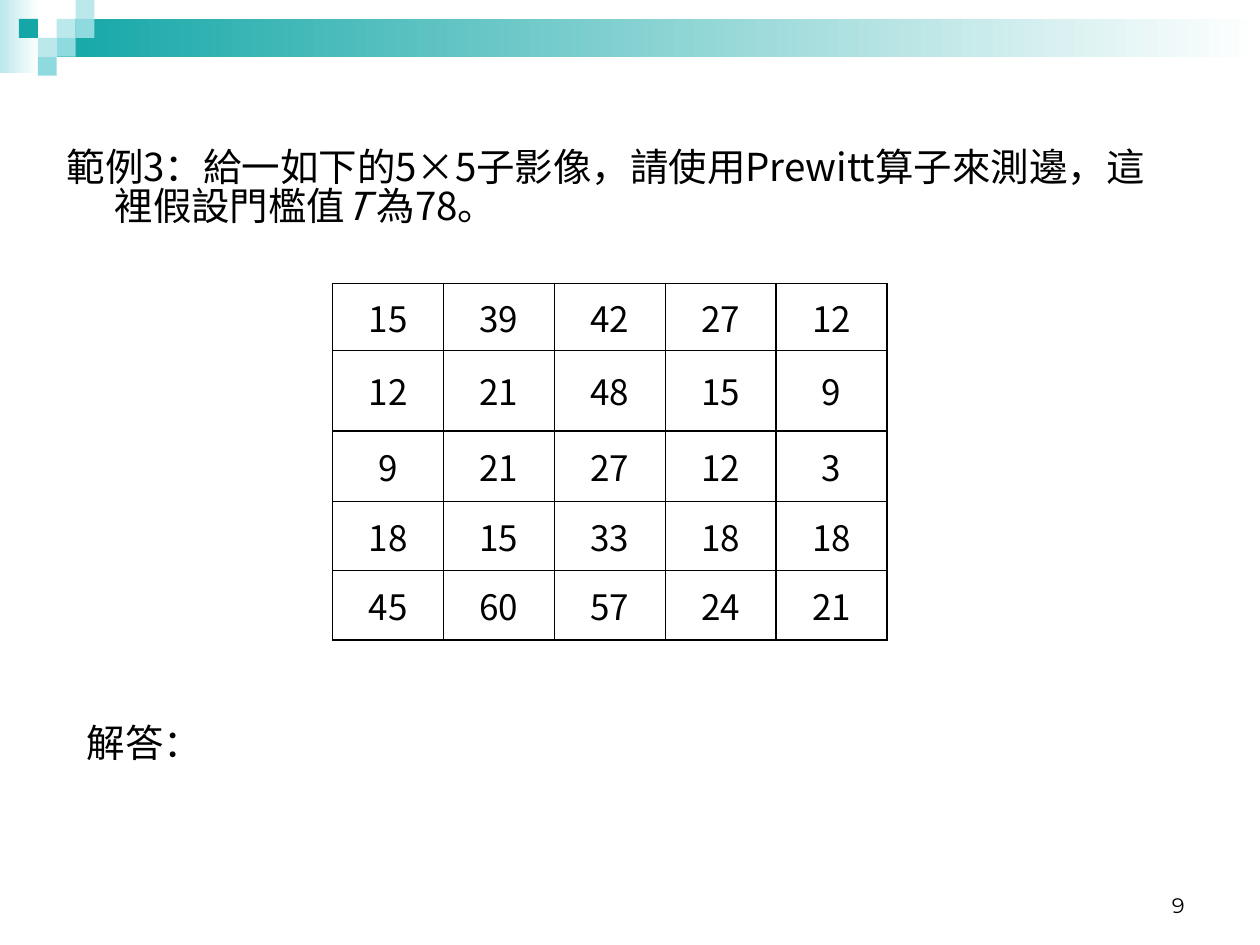
import pptx
import pptx.util
import pptx.dml.color
import pptx.enum.shapes
import pptx.enum.text
import pptx.oxml
import pptx.oxml.ns

Inches, Pt = pptx.util.Inches, pptx.util.Pt
Color = pptx.dml.color.RGBColor
Align = pptx.enum.text.PP_ALIGN
Anchor = pptx.enum.text.MSO_ANCHOR

BLACK = Color(0x00, 0x00, 0x00)
WHITE = Color(0xFF, 0xFF, 0xFF)
PALE = Color(0xBB, 0xE8, 0xEB)
MID = Color(0x8E, 0xDA, 0xDE)
TEAL = Color(0x15, 0xA7, 0xA7)

TASK = [("範例3：給一如下的5×5子影像，請使用Prewitt算子來測邊，這裡假設門檻值", False),
        ("T ", True), ("為78。", False)]
ANSWER = [("解答：", False)]
PAGE = [("9", False)]
GRID = [
    [15, 39, 42, 27, 12],
    [12, 21, 48, 15, 9],
    [9, 21, 27, 12, 3],
    [18, 15, 33, 18, 18],
    [45, 60, 57, 24, 21],
]
ROWS = [0.53, 0.64, 0.56, 0.55, 0.55]
WIDE = 0.88
BANDS = [((0, 0, 0.31, 0.58), PALE), ((0.45, 0.15, 9.55, 0.3), TEAL)]
STEP = 0.15
TILES = [(3, 1, PALE), (4, 0, PALE), (4, 1, MID), (2, 2, PALE),
         (1, 1, TEAL), (3, 2, MID), (2, 3, MID)]

SC, TC, MONT = "Noto Sans CJK SC", "Noto Sans CJK TC", "Montserrat"
PROSE = {"space_before": Pt(4.4), "line_spacing": 0.83, "alignment": Align.LEFT}
MIDDLE = {"alignment": Align.CENTER}
RIGHT = {"alignment": Align.RIGHT}


def apply(item, form):
    for key, value in form.items():
        setattr(item, key, value)


def place(shape, box):
    apply(shape, dict(zip(("left", "top", "width", "height"), map(Inches, box))))


def node(tag, inner="", attrs=""):
    space = pptx.oxml.ns.nsdecls("a")
    return pptx.oxml.parse_xml(f"<a:{tag} {space} {attrs}>{inner}</a:{tag}>")


def write(frame, runs, face, size, form):
    para = frame.paragraphs[0]
    apply(para, form)
    for text, slant in runs:
        run = para.add_run()
        run.text = text
        apply(run.font, {"name": face, "size": Pt(size), "italic": slant})
        run.font.color.rgb = BLACK
        run.font._element.find(pptx.oxml.ns.qn("a:latin")).addnext(
            node("ea", attrs=f'typeface="{face}"'))
    return para


def prose(shape, box, runs):
    place(shape, box)
    frame = shape.text_frame
    apply(frame, {"word_wrap": True, "auto_size": pptx.enum.text.MSO_AUTO_SIZE.NONE,
                  "vertical_anchor": Anchor.TOP})
    props = write(frame, runs, SC, 22, PROSE)._p.get_or_add_pPr()
    props.set("marL", str(Inches(0.38)))
    props.set("indent", str(Inches(-0.38)))
    props.append(node("buNone"))


def block(slide, box):
    shape = slide.shapes.add_shape(pptx.enum.shapes.MSO_SHAPE.RECTANGLE, *map(Inches, box))
    shape.shadow.inherit = False
    shape.line.fill.background()
    return shape


def deck(slide):
    for box, tint in BANDS:
        fill = block(slide, box).fill
        fill.gradient()
        fill.gradient_angle = 0
        for stop, color in zip(fill.gradient_stops, (tint, WHITE)):
            stop.color.rgb = color
    for col, row, tint in TILES:
        fill = block(slide, (col * STEP, row * STEP, STEP, STEP)).fill
        fill.solid()
        fill.fore_color.rgb = tint


def border(cell):
    props = cell._tc.get_or_add_tcPr()
    ink = f'<a:solidFill><a:srgbClr val="{BLACK}"/></a:solidFill>'
    for spot, side in enumerate(("lnL", "lnR", "lnT", "lnB")):
        props.insert(spot, node(side, ink, f'w="{Pt(1)}"'))


def matrix(slide):
    size = len(GRID)
    box = (2.64, 2.25, WIDE * size, sum(ROWS))
    table = slide.shapes.add_table(size, size, *map(Inches, box)).table
    apply(table, {"first_row": False, "horz_banding": False})
    for col in table.columns:
        col.width = Inches(WIDE)
    for row, high, values in zip(table.rows, ROWS, GRID):
        row.height = Inches(high)
        for cell, value in zip(row.cells, values):
            cell.fill.background()
            cell.vertical_anchor = Anchor.MIDDLE
            border(cell)
            write(cell.text_frame, [(str(value), False)], TC, 20, MIDDLE)


def main():
    show = pptx.Presentation()
    apply(show, {"slide_width": Inches(10), "slide_height": Inches(7.5)})
    slide = show.slides.add_slide(show.slide_layouts[1])
    title = slide.shapes.title._element
    title.getparent().remove(title)
    deck(slide)
    prose(slide.placeholders[1], (0.43, 1.15, 8.99, 1.19), TASK)
    matrix(slide)
    page = slide.shapes.add_textbox(*map(Inches, (7.17, 6.83, 2.33, 0.5))).text_frame
    apply(page, {"word_wrap": True, "vertical_anchor": Anchor.BOTTOM})
    write(page, PAGE, MONT, 12, RIGHT)
    spot = (0.59, 5.72, 7.95, 1.02)
    prose(slide.shapes.add_textbox(*map(Inches, spot)), spot, ANSWER)
    show.save("out.pptx")


if __name__ == "__main__":
    main()
